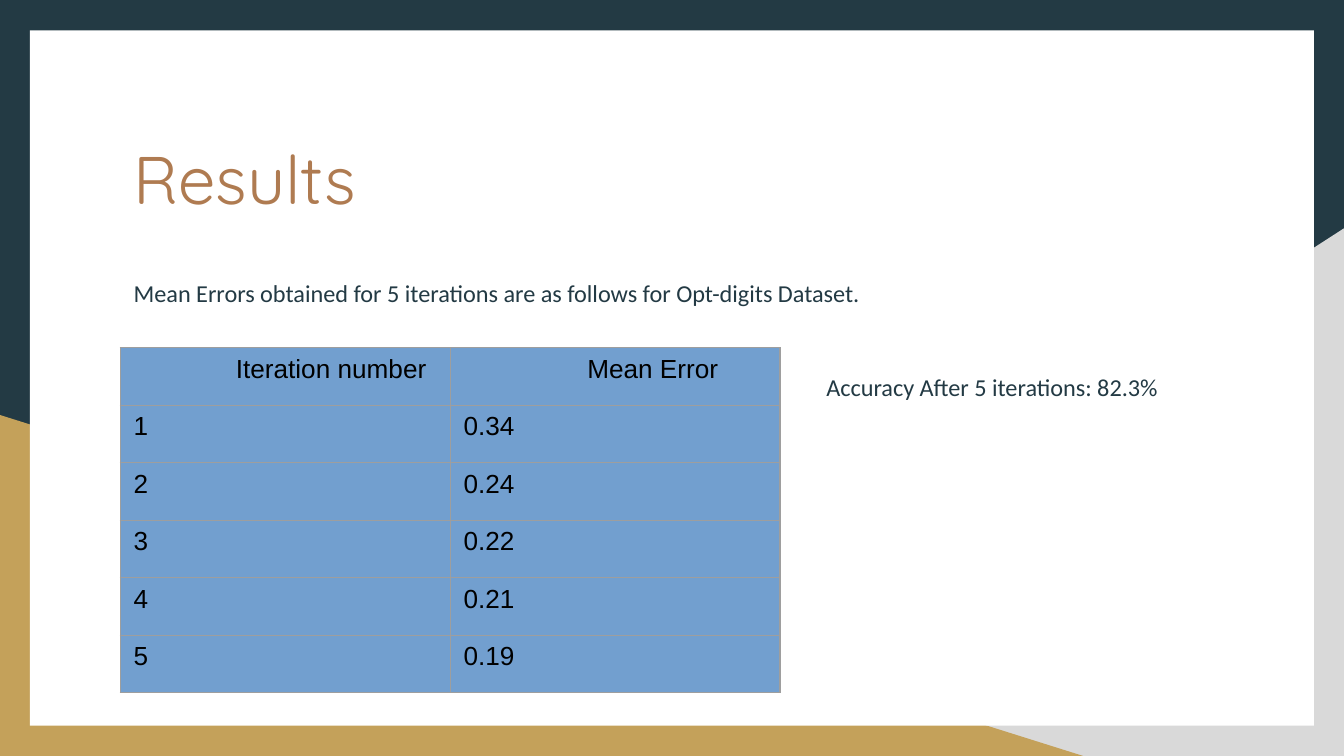
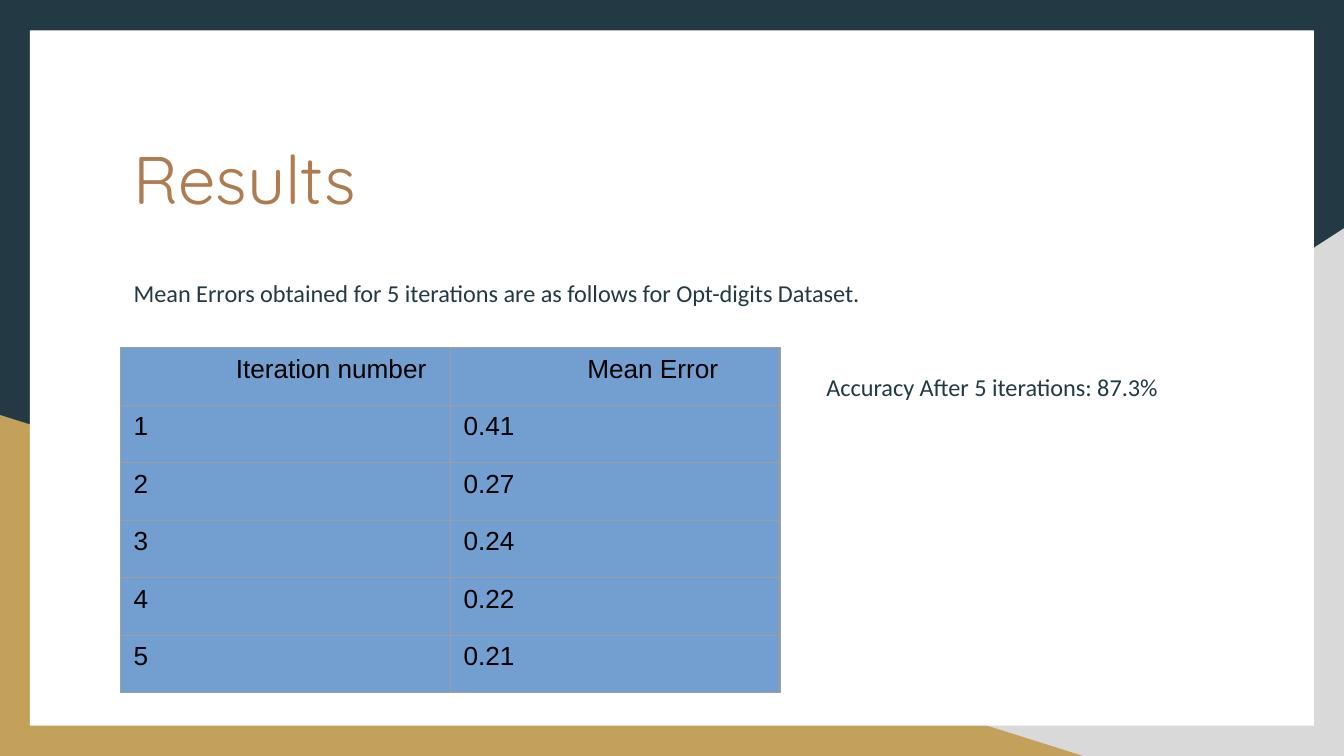
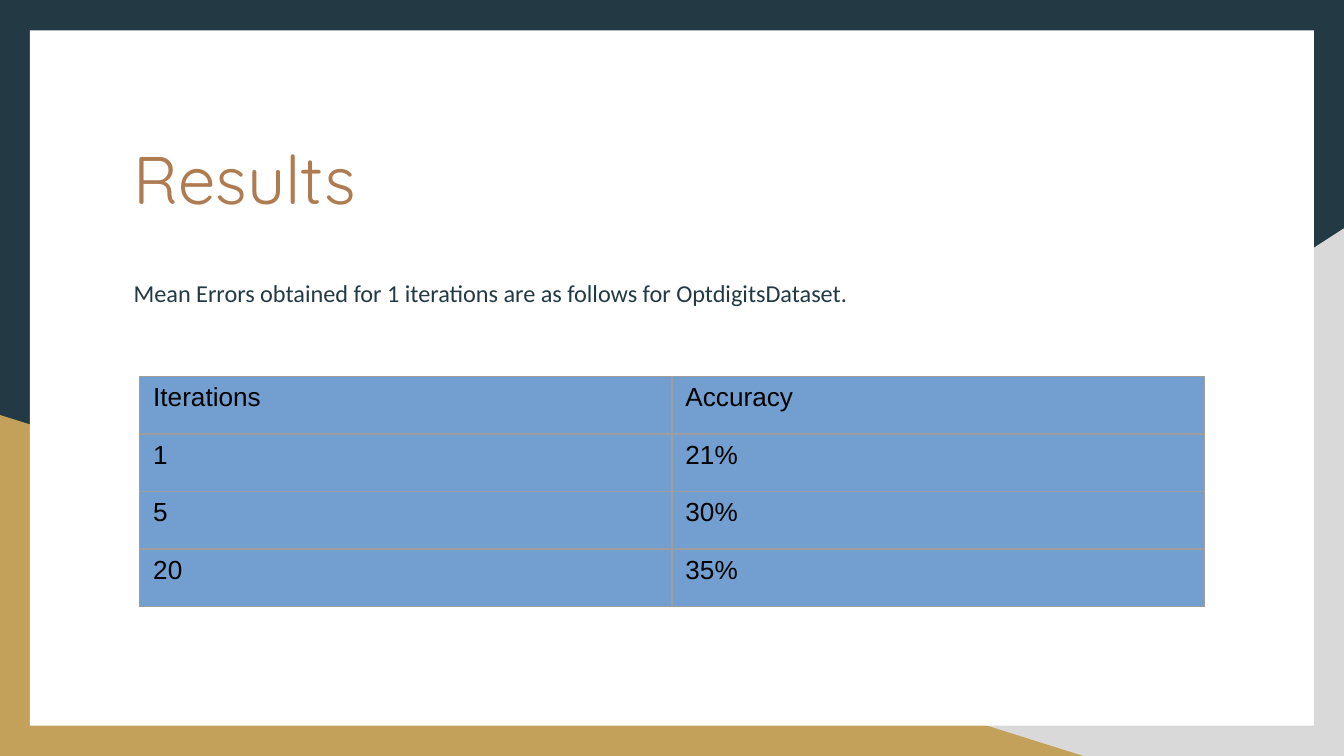
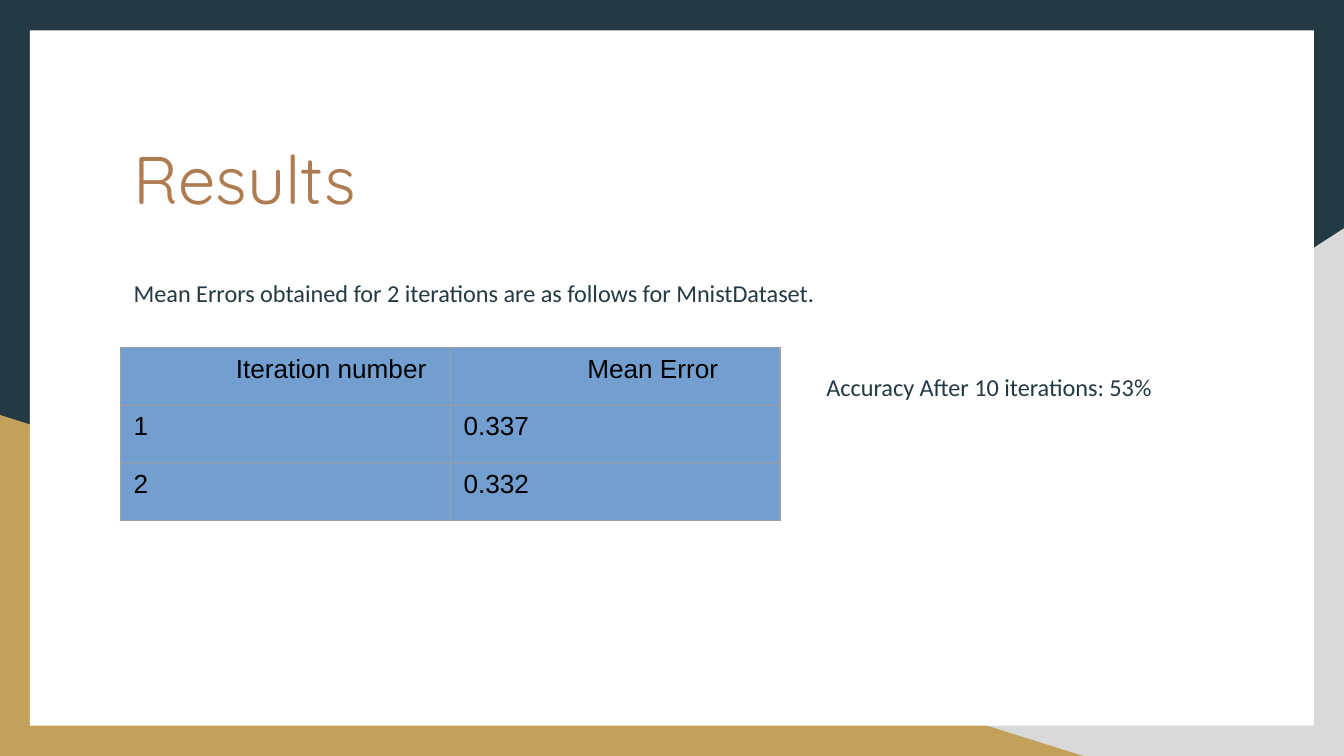
from dataclasses import dataclass

from lxml import etree
from pptx import Presentation
from pptx import util as u
from pptx.dml import color
from pptx.enum import shapes, text
from pptx.oxml import ns


@dataclass(frozen=True)
class Theme:
    navy: str = "233A44"
    gold: str = "C4A15A"
    grey: str = "D9D9D9"
    paper: str = "FFFFFF"
    copper: str = "AF7B51"
    cell: str = "729FCF"
    border: str = "9E9E9E"
    ink: str = "000000"
    title_font: str = "Quicksand"
    body_font: str = "Calibri"
    table_font: str = "Arial"
    title_size: float = 36
    body_size: float = 13
    table_size: float = 14
    border_width: float = 0.75
    after: float = 16


THEME = Theme()
WIDTH, HEIGHT = u.Inches(10), u.Inches(5.625)

# Places in percent of the slide's width and height: left, top, width, height
GREY_CORNER = (39.2, 30.2, 60.8, 69.8)
GOLD_CORNER = (0, 54.9, 80.6, 45.1)
PAPER = (2.23, 4, 95.54, 92)
TITLE = (8.95, 16.4, 82.1, 18.5)
BODY = (8.95, 35, 82.1, 58.4)
ACCURACY = (60.5, 46.9, 28.5, 38.8)
ROW = 7.61

# Table layouts: left, top, column width
NARROW = (8.95, 46, 24.55)
WIDE = (10.4, 49.8, 39.6)

# Header labels with their indents in inches
ERROR_HEADER = [("Iteration number", 0.76), ("Mean Error", 0.92)]
ACCURACY_HEADER = [("Iterations", 0), ("Accuracy", 0)]


def across(share):
    return round(WIDTH * share / 100)


def down(share):
    return round(HEIGHT * share / 100)


def place(area):
    left, top, width, height = area
    return across(left), down(top), across(width), down(height)


def paint(fill, shade):
    fill.solid()
    fill.fore_color.rgb = color.RGBColor.from_string(shade)


def write(paragraph, words, font, size, shade):
    run = paragraph.add_run()
    run.text = words
    run.font.name = font
    run.font.size = u.Pt(size)
    run.font.color.rgb = color.RGBColor.from_string(shade)


def frame_text(frame):
    """Wrapped text from the top, with equal insets."""
    frame.word_wrap = True
    frame.auto_size = text.MSO_AUTO_SIZE.NONE
    frame.vertical_anchor = text.MSO_ANCHOR.TOP
    frame.margin_left = frame.margin_right = u.Inches(0.1)
    frame.margin_top = frame.margin_bottom = u.Inches(0.1)


def write_body(paragraph, words, line_spacing):
    paragraph.space_before = u.Pt(0)
    paragraph.space_after = u.Pt(THEME.after)
    paragraph.line_spacing = line_spacing
    write(paragraph, words, THEME.body_font, THEME.body_size, THEME.navy)


def add_panel(slide, kind, area, shade, flipped=False):
    panel = slide.shapes.add_shape(kind, *place(area))
    panel.shadow.inherit = False
    paint(panel.fill, shade)
    panel.line.fill.background()
    if flipped:
        panel._element.spPr.xfrm.set("flipH", "1")
    return panel


def style_layout(layout, slide):
    """Draw the backdrop on the slide, then move it to the shared layout."""
    paint(layout.background.fill, THEME.navy)
    triangle = shapes.MSO_SHAPE.RIGHT_TRIANGLE
    backdrop = [
        add_panel(slide, triangle, GREY_CORNER, THEME.grey, flipped=True),
        add_panel(slide, triangle, GOLD_CORNER, THEME.gold),
        add_panel(slide, shapes.MSO_SHAPE.RECTANGLE, PAPER, THEME.paper),
    ]
    for depth, panel in enumerate(backdrop, start=2):
        layout.shapes._spTree.insert(depth, panel._element)

    for holder, area in zip(layout.placeholders, (TITLE, BODY)):
        holder.left, holder.top, holder.width, holder.height = place(area)
        frame_text(holder.text_frame)


def fill_placeholders(slide, intro):
    heading = slide.shapes.title.text_frame.paragraphs[0]
    heading.alignment = text.PP_ALIGN.LEFT
    write(heading, "Results", THEME.title_font, THEME.title_size, THEME.copper)

    sentence = slide.placeholders[1].text_frame.paragraphs[0]
    properties = sentence._p.get_or_add_pPr()
    properties.set("marL", "0")
    properties.set("indent", "0")
    etree.SubElement(properties, ns.qn("a:buNone"))
    write_body(sentence, intro, 1.0)


def border_cell(cell):
    properties = cell._tc.get_or_add_tcPr()
    for side in ("lnL", "lnR", "lnT", "lnB"):
        edge = etree.SubElement(properties, ns.qn(f"a:{side}"),
                                w=str(u.Pt(THEME.border_width)))
        solid = etree.SubElement(edge, ns.qn("a:solidFill"))
        etree.SubElement(solid, ns.qn("a:srgbClr"), val=THEME.border)


def fill_cell(cell, words, indent=0):
    border_cell(cell)
    paint(cell.fill, THEME.cell)
    cell.margin_left = cell.margin_right = u.Inches(0.1)
    cell.margin_top = cell.margin_bottom = u.Inches(0.05)
    entry = cell.text_frame.paragraphs[0]
    if indent:
        entry._p.get_or_add_pPr().set("marL", str(u.Inches(indent)))
    write(entry, words, THEME.table_font, THEME.table_size, THEME.ink)


def add_results(slide, grid, header, results):
    left, top, column = grid
    count = len(results) + 1
    area = (left, top, column * len(header), ROW * count)
    table = slide.shapes.add_table(count, len(header), *place(area)).table
    table.horz_banding = table.first_row = False
    for position in table.columns:
        position.width = across(column)
    for position in table.rows:
        position.height = down(ROW)

    for index, (label, indent) in enumerate(header):
        fill_cell(table.cell(0, index), label, indent)
    for line, result in enumerate(results, start=1):
        for index, value in enumerate(result):
            fill_cell(table.cell(line, index), value)


def add_accuracy(slide, words):
    frame = slide.shapes.add_textbox(*place(ACCURACY)).text_frame
    frame_text(frame)
    write_body(frame.paragraphs[0], words, 1.15)


def numbered(*errors):
    return [(str(number), error) for number, error in enumerate(errors, start=1)]


# One entry per slide: intro, table layout, header, results, accuracy note
EXPERIMENTS = [
    ("Mean Errors obtained for 5 iterations are as follows for Opt-digits Dataset.",
     NARROW, ERROR_HEADER, numbered("0.34", "0.24", "0.22", "0.21", "0.19"),
     "Accuracy After 5 iterations: 82.3%"),
    ("Mean Errors obtained for 5 iterations are as follows for Opt-digits Dataset.",
     NARROW, ERROR_HEADER, numbered("0.41", "0.27", "0.24", "0.22", "0.21"),
     "Accuracy After 5 iterations: 87.3%"),
    ("Mean Errors obtained for 1 iterations are as follows for OptdigitsDataset.",
     WIDE, ACCURACY_HEADER, [("1", "21%"), ("5", "30%"), ("20", "35%")], None),
    ("Mean Errors obtained for 2 iterations are as follows for MnistDataset.",
     NARROW, ERROR_HEADER, numbered("0.337", "0.332"),
     "Accuracy After 10 iterations: 53%"),
]


def main():
    deck = Presentation()
    deck.slide_width, deck.slide_height = WIDTH, HEIGHT
    layout = deck.slide_layouts[1]

    for number, (intro, grid, header, results, accuracy) in enumerate(EXPERIMENTS):
        slide = deck.slides.add_slide(layout)
        if number == 0:
            style_layout(layout, slide)
        fill_placeholders(slide, intro)
        add_results(slide, grid, header, results)
        if accuracy:
            add_accuracy(slide, accuracy)

    deck.save("out.pptx")


if __name__ == "__main__":
    main()
